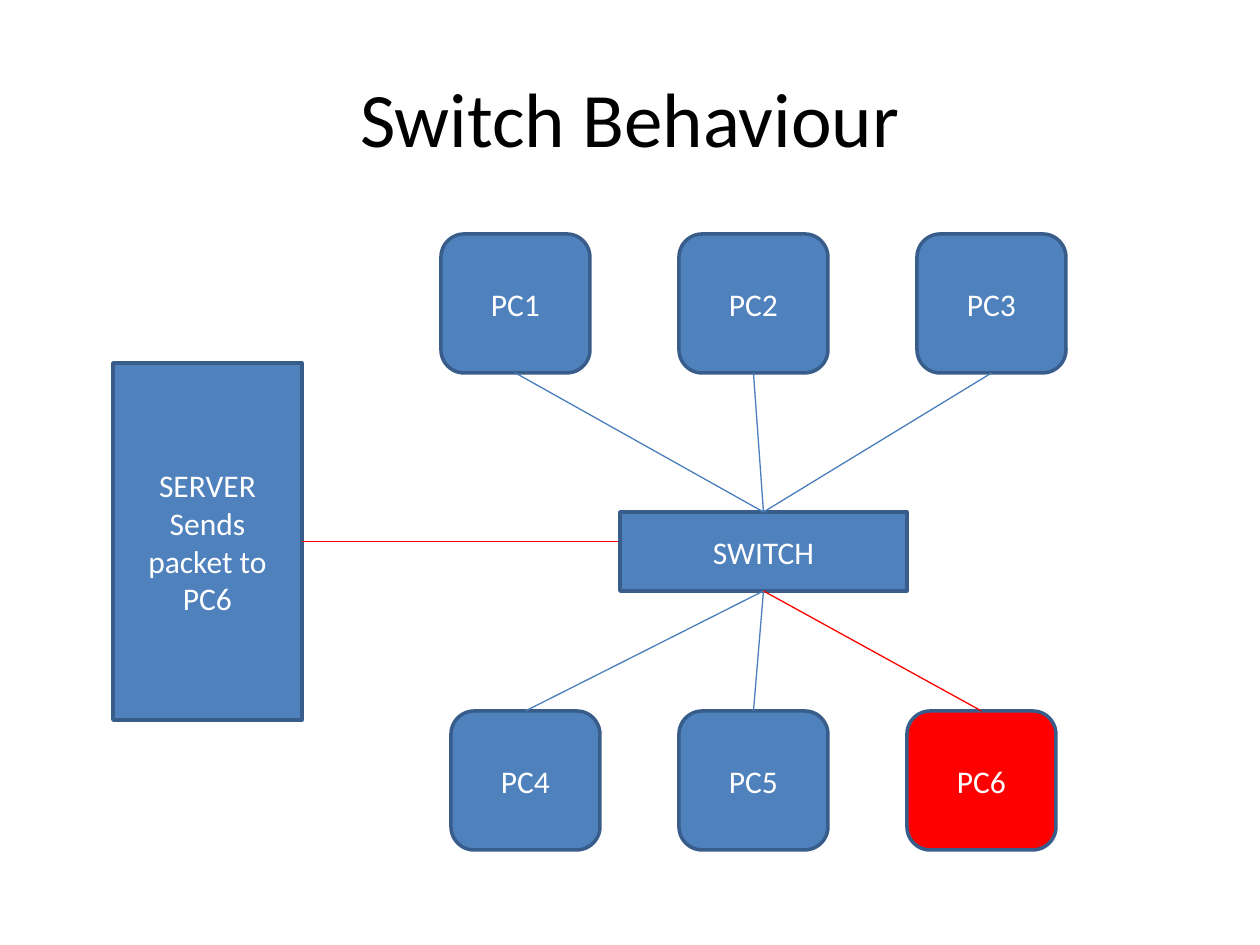
import pptx
import pptx.util
import pptx.dml.color
import pptx.enum.shapes
import pptx.enum.text
import pptx.oxml.ns
import lxml.etree

COLORS = {
    "box": "4F81BD", "border": "385D8A", "link": "4A7EBB",
    "active": "FF0000", "title": "000000", "label": "FFFFFF",
}
FONT = "Calibri"
EMU_PER_PX = 914400 / 126

# Boxes are left, top, width, height in px
TITLE = ("Switch Behaviour", (63, 38, 1134, 158))
SERVER = ("SERVER\nSends packet to PC6", (113, 363, 189, 357))
SWITCH = ("SWITCH", (620, 512, 287, 79))
PC_SIZE = (149, 139)
TOP_ROW = {"names": ["PC1", "PC2", "PC3"], "left": 441, "top": 234, "step": 238}
BOTTOM_ROW = {"names": ["PC4", "PC5", "PC6"], "left": 451, "top": 711, "step": 228}
RECEIVER = "PC6"

RECTANGLE = pptx.enum.shapes.MSO_SHAPE.RECTANGLE
ROUNDED = pptx.enum.shapes.MSO_SHAPE.ROUNDED_RECTANGLE


def px(*lengths):
    return [pptx.util.Emu(round(length * EMU_PER_PX)) for length in lengths]


def rgb(color):
    return pptx.dml.color.RGBColor.from_string(COLORS[color])


def write(shape, text, size, color):
    frame = shape.text_frame
    frame.word_wrap = True
    frame.vertical_anchor = pptx.enum.text.MSO_ANCHOR.MIDDLE
    frame.text = text
    for paragraph in frame.paragraphs:
        paragraph.alignment = pptx.enum.text.PP_ALIGN.CENTER
        for run in paragraph.runs:
            run.font.name = FONT
            run.font.size = pptx.util.Pt(size)
            run.font.color.rgb = rgb(color)


def add_device(kind, label, box, fill="box"):
    device = slide.shapes.add_shape(kind, *px(*box))
    device.shadow.inherit = False
    device.fill.solid()
    device.fill.fore_color.rgb = rgb(fill)
    device.line.color.rgb = rgb("border")
    device.line.width = pptx.util.Pt(2)
    write(device, label, 18, "label")


def add_link(start, end, color="link"):
    link = slide.shapes.add_connector(
        pptx.enum.shapes.MSO_CONNECTOR.STRAIGHT, *px(*start, *end))
    link.line.color.rgb = rgb(color)
    link.line.width = pptx.util.Pt(0.75)
    lxml.etree.SubElement(link._element.spPr, pptx.oxml.ns.qn("a:effectLst"))


presentation = pptx.Presentation()
presentation.slide_width = pptx.util.Inches(10)
presentation.slide_height = pptx.util.Inches(7.5)
slide = presentation.slides.add_slide(presentation.slide_layouts[6])

title_text, title_box = TITLE
write(slide.shapes.add_textbox(*px(*title_box)), title_text, 44, "title")

server_left, server_top, server_width, server_height = SERVER[1]
switch_left, switch_top, switch_width, switch_height = SWITCH[1]
switch_middle = switch_left + switch_width / 2
server_middle = server_top + server_height / 2

add_device(RECTANGLE, *SERVER)
add_link((server_left + server_width, server_middle),
         (switch_left, server_middle), "active")
add_device(RECTANGLE, *SWITCH)

pc_width, pc_height = PC_SIZE
for row, pc_edge, switch_edge in (
    (TOP_ROW, TOP_ROW["top"] + pc_height, switch_top),
    (BOTTOM_ROW, BOTTOM_ROW["top"], switch_top + switch_height),
):
    for column, name in enumerate(row["names"]):
        left = row["left"] + column * row["step"]
        receives = name == RECEIVER
        add_device(ROUNDED, name, (left, row["top"], *PC_SIZE),
                   "active" if receives else "box")
        add_link((left + pc_width / 2, pc_edge), (switch_middle, switch_edge),
                 "active" if receives else "link")

presentation.save("out.pptx")
